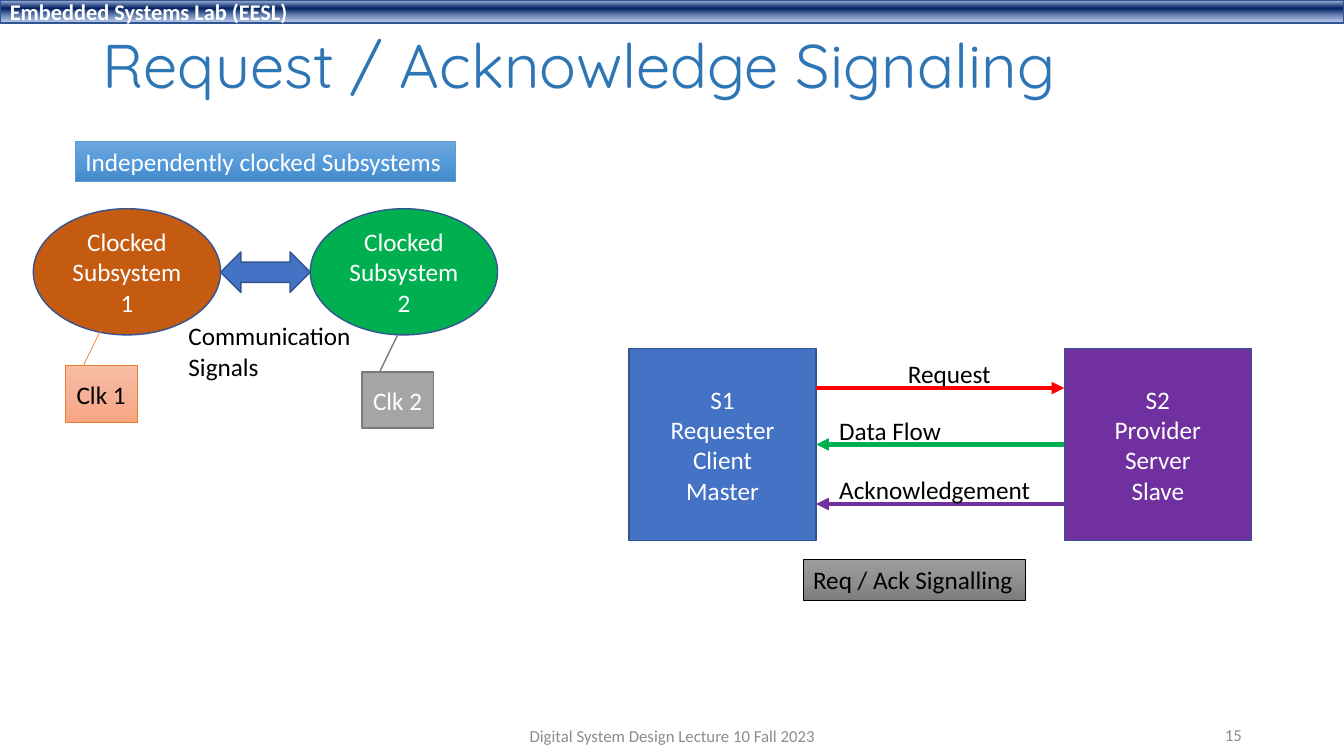
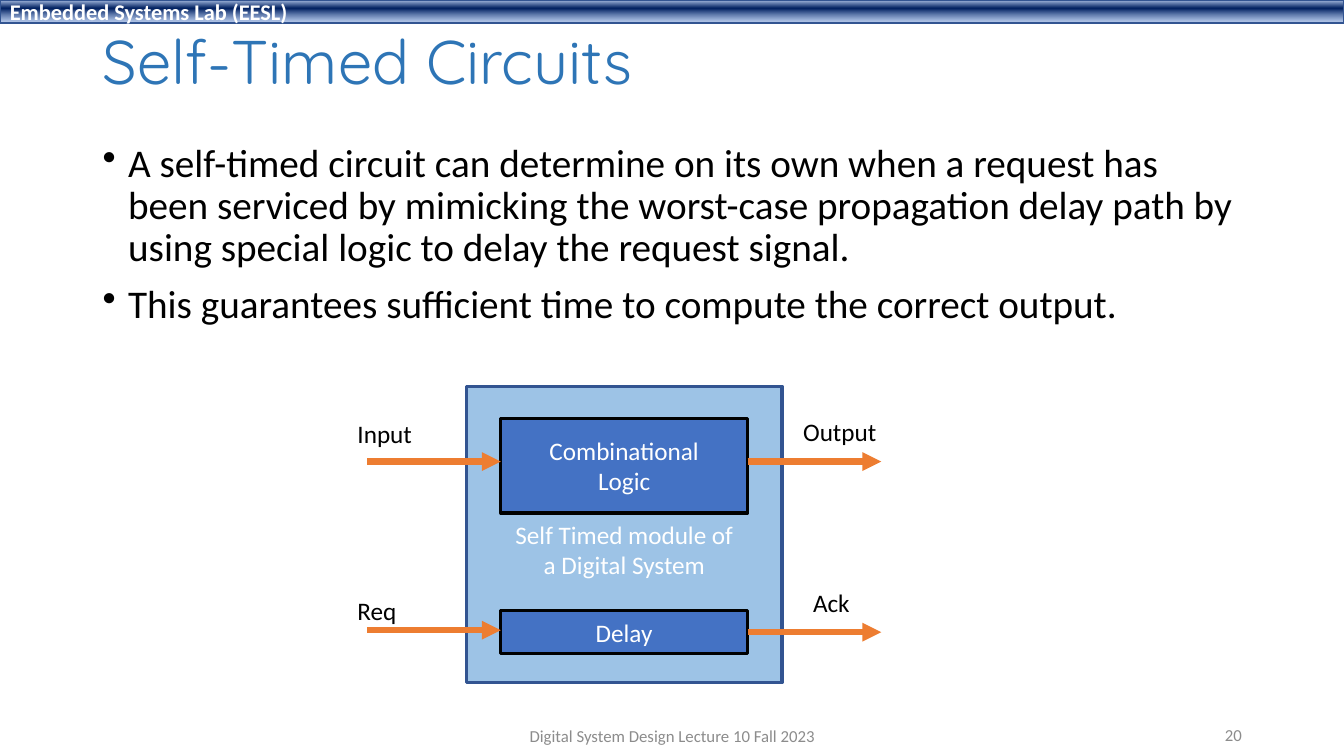
"""Build two slides on request / acknowledge signaling and self-timed circuits."""
import lxml.etree
import pptx
import pptx.dml.color
import pptx.enum.shapes
import pptx.enum.text
import pptx.oxml.ns
import pptx.util

Cm = pptx.util.Cm
Pt = pptx.util.Pt
qn = pptx.oxml.ns.qn
KIND = pptx.enum.shapes.MSO_SHAPE
ALIGN = pptx.enum.text.PP_ALIGN
ANCHOR = pptx.enum.text.MSO_ANCHOR

HUES = {
    "white": "FFFFFF", "black": "000000", "title": "2E75B6", "foot": "8C8C8C",
    "edge": "325491", "blue": "4472C4", "sky": "5B9BD5", "pale": "9DC3E6",
    "rust": "C55A11", "orange": "ED7D31", "green": "00B050", "red": "FF0000",
    "purple": "7030A0", "gray": "A5A5A5", "slate": "7A7A7A",
}
BLENDS = {
    "band": [(2, "ABC0E4", 100), (38, "002060", 100), (93, "7E9ED6", 64)],
    "sky": [(0, "71A6DB", 100), (50, "559BDB", 100), (100, "448ACA", 100)],
    "steel": [(0, "9D9D9D", 100), (50, "909090", 100), (100, "7C7C7C", 100)],
    "peach": [(0, "F7BDA5", 100), (50, "F5B196", 100), (100, "F8A582", 100)],
}
LINE_H = 1.02


def hue(name):
    return pptx.dml.color.RGBColor.from_string(HUES[name])


def blend(shape, name):
    shape.fill.gradient()
    grad = shape.element.spPr.find(qn("a:gradFill"))
    stops = grad.find(qn("a:gsLst"))
    for old in list(stops):
        stops.remove(old)
    for place, value, alpha in BLENDS[name]:
        stop = lxml.etree.SubElement(stops, qn("a:gs"), pos=str(place * 1000))
        color = lxml.etree.SubElement(stop, qn("a:srgbClr"), val=value)
        if alpha < 100:
            lxml.etree.SubElement(color, qn("a:alpha"), val=str(alpha * 1000))
    grad.find(qn("a:lin")).set("ang", "5400000")


def write(shape, text, size=18, color="white", font="Calibri", bold=False,
          align=ALIGN.LEFT, anchor=ANCHOR.MIDDLE, wrap=True, inset=0.13,
          spacing=None, before=None, bullet=None):
    frame = shape.text_frame
    frame.word_wrap = wrap
    frame.vertical_anchor = anchor
    frame.margin_top = Cm(inset)
    frame.text = text
    for para in frame.paragraphs:
        para.alignment = align
        para.line_spacing = spacing
        para.space_before = before
        for run in para.runs:
            run.font.name = font
            run.font.size = Pt(size)
            run.font.bold = bold
            run.font.color.rgb = hue(color)
        if bullet:
            props = para._p.get_or_add_pPr()
            props.set("marL", str(Cm(0.64)))
            props.set("indent", str(-Cm(0.64)))
            lxml.etree.SubElement(props, qn("a:buChar"), char=bullet)


def label(slide, text, left, top, width, height=LINE_H, **style):
    box = slide.shapes.add_textbox(Cm(left), Cm(top), Cm(width), Cm(height))
    write(box, text, **style)


def note(slide, text, left, top, width, height=LINE_H):
    label(slide, text, left, top, width, height, color="black",
          anchor=ANCHOR.TOP, wrap=False)


def block(slide, left, top, width, height, fill, text="", kind=KIND.RECTANGLE,
          edge="edge", weight=1, mix=False, **style):
    shape = slide.shapes.add_shape(kind, Cm(left), Cm(top), Cm(width), Cm(height))
    shape.shadow.inherit = False
    if mix:
        blend(shape, fill)
    else:
        shape.fill.solid()
        shape.fill.fore_color.rgb = hue(fill)
    shape.line.color.rgb = hue(edge)
    shape.line.width = Pt(weight)
    if text:
        write(shape, text, **{"align": ALIGN.CENTER, **style})
    return shape


def arrow(slide, start, end, height, color, weight):
    line = slide.shapes.add_connector(pptx.enum.shapes.MSO_CONNECTOR.STRAIGHT,
                                      Cm(start), Cm(height), Cm(end), Cm(height))
    line.line.color.rgb = hue(color)
    line.line.width = Pt(weight)
    props = line._element.spPr
    lxml.etree.SubElement(props.find(qn("a:ln")), qn("a:tailEnd"), type="triangle")
    lxml.etree.SubElement(props, qn("a:effectLst"))


def clock(slide, text, left, top, fill, **style):
    shape = block(slide, left, top, 1.8, 1.42, fill, text,
                  kind=KIND.LINE_CALLOUT_1, **style)
    for spot, value in enumerate((-0.012, 0.254, -0.65, 0.499)):
        shape.adjustments[spot] = value


def start(deck, title, number, height):
    slide = deck.slides.add_slide(deck.slide_layouts[6])
    block(slide, 0, 0, 33.87, 0.58, "band", "Embedded Systems Lab (EESL)",
          mix=True, size=16, bold=True, align=ALIGN.LEFT)
    label(slide, title, 2.34, 0.38, 29.21, height, size=44, color="title",
          font="Quicksand", spacing=0.9)
    label(slide, "Digital System Design Lecture 10 Fall 2023", 11.23, 18.03, 11.43,
          size=12, color="foot", align=ALIGN.CENTER)
    label(slide, number, 23.93, 18.01, 7.62, size=12, color="foot",
          align=ALIGN.RIGHT)
    return slide


def signal(deck):
    slide = start(deck, "Request / Acknowledge Signaling", "15", 2.69)
    for digit, left, fill in (("1", 0.84, "rust"), ("2", 7.82, "green")):
        block(slide, left, 5.26, 4.72, 3.18, fill, f"Clocked\nSubsystem {digit}",
              kind=KIND.OVAL)
    note(slide, "Communication\nSignals", 4.5, 7.95, 4.65, 1.8)
    tag = {"mix": True, "weight": 0.5, "align": ALIGN.LEFT,
           "anchor": ANCHOR.TOP, "wrap": False}
    block(slide, 1.9, 3.56, 9.58, LINE_H, "sky", "Independently clocked Subsystems",
          edge="sky", **tag)
    block(slide, 20.24, 14.1, 5.59, LINE_H, "steel", "Req / Ack Signalling",
          edge="black", color="black", **tag)
    for left, fill, text in (
            (15.85, "blue", "S1\nRequester Client\nMaster"),
            (26.82, "purple", "S2\nProvider\nServer\nSlave")):
        block(slide, left, 8.79, 4.72, 4.83, fill, text)
    near, far = 20.57, 26.82
    for begin, end, height, color, text, left, width in (
            (near, far, 9.78, "red", "Request", 22.63, 2.62),
            (far, near, 11.2, "green", "Data Flow", 20.9, 3.1),
            (far, near, 12.7, "purple", "Acknowledgement", 20.9, 5.38)):
        arrow(slide, begin, end, height, color, 3)
        note(slide, text, left, height - 0.87, width)
    clock(slide, "Clk 1", 1.65, 9.22, "peach", mix=True, edge="orange",
          weight=0.5, color="black")
    clock(slide, "Clk 2", 9.12, 9.37, "gray", edge="slate")
    block(slide, 5.56, 6.35, 2.26, LINE_H, "blue", kind=KIND.LEFT_RIGHT_ARROW)


def timing(deck):
    slide = start(deck, "Self-Timed Circuits", "20", 2.51)
    label(slide, "A self-timed circuit can determine on its own when a request has "
          "been serviced by mimicking the worst-case propagation delay path by "
          "using special logic to delay the request signal.\n"
          "This guarantees sufficient time to compute the correct output.",
          2.34, 3.48, 29.21, 5.13, size=28, color="black", anchor=ANCHOR.TOP,
          spacing=0.9, before=Pt(10), bullet="•")
    block(slide, 11.76, 9.73, 7.95, 7.47, "pale",
          "Self Timed module of\na Digital System", weight=2.25, inset=0.9)
    for text, top, height in (("Combinational\nLogic", 10.54, 2.39),
                              ("Delay", 15.39, 1.07)):
        block(slide, 12.62, top, 6.22, height, "blue", text,
              edge="black", weight=2.25)
    for begin, height, text, left, top, width in (
            (9.25, 11.63, "Input", 8.76, 10.41, 1.9),
            (9.25, 15.88, "Req", 8.76, 14.88, 1.5),
            (18.84, 11.63, "Output", 19.99, 10.36, 2.39),
            (18.84, 15.93, "Ack", 20.24, 14.66, 1.45)):
        arrow(slide, begin, begin + 3.37, height, "orange", 4.5)
        note(slide, text, left, top, width)


def main():
    deck = pptx.Presentation()
    deck.slide_width = Cm(33.87)
    deck.slide_height = Cm(19.05)
    signal(deck)
    timing(deck)
    deck.save("out.pptx")


if __name__ == "__main__":
    main()
